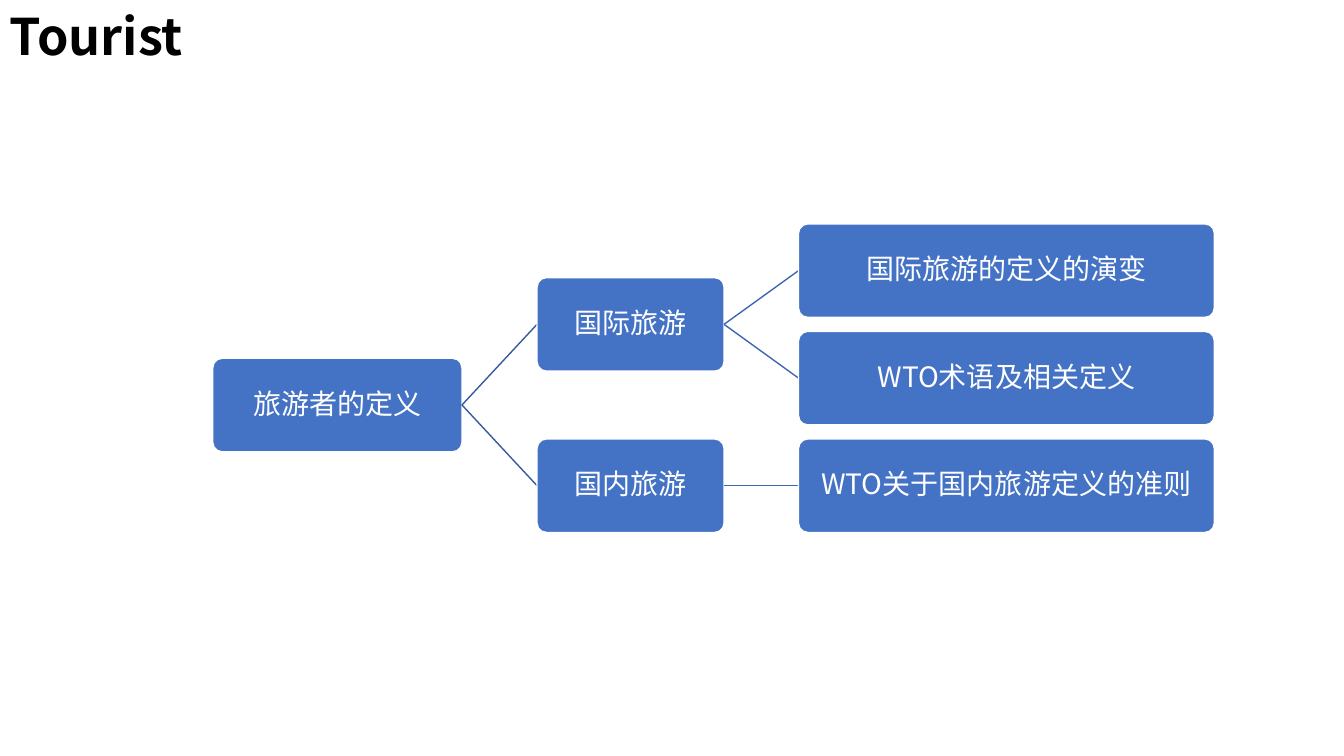
from pptx import Presentation
from pptx import util as u
from pptx.dml import color
from pptx.enum import shapes, text
from pptx.oxml import ns
from lxml import etree

COLORS = {"box": "4472C4", "white": "FFFFFF", "title": "000000",
          "root_link": "365B9D", "branch_link": "3E67B2"}
FONT = "Noto Sans CJK SC"


def rgb(name):
    return color.RGBColor.from_string(COLORS[name])


def write(holder, words, size, ink, bold=False, align=text.PP_ALIGN.LEFT,
          anchor=text.MSO_ANCHOR.TOP, spacing=1.0, after=0, inset=None):
    frame = holder.text_frame
    frame.vertical_anchor = anchor
    if inset is not None:
        frame.margin_left = frame.margin_right = u.Pt(inset)
        frame.margin_top = frame.margin_bottom = u.Pt(inset)
    paragraph = frame.paragraphs[0]
    paragraph.alignment = align
    paragraph.line_spacing = spacing
    paragraph.space_after = u.Pt(after)
    run = paragraph.add_run()
    run.text = words
    run.font.size = u.Pt(size)
    run.font.bold = bold
    run.font.color.rgb = rgb(ink)
    run.font.name = FONT
    east_asian = etree.SubElement(run.font._element, ns.qn("a:ea"))
    east_asian.set("typeface", FONT)


deck = Presentation()
deck.slide_width, deck.slide_height = u.Pt(960), u.Pt(540)
slide = deck.slides.add_slide(deck.slide_layouts[6])

title = slide.shapes.add_textbox(0, 0, u.Pt(172), u.Pt(51))
title.text_frame.word_wrap = True
write(title, "Tourist", size=36, ink="title", bold=True)

box_height = 66.8
top_middle = 193.3
row_step = 76.8
columns = [(152, 178), (383.6, 133.6), (570.4, 297)]

topics = [
    ("旅游者的定义", 0, 1.25, None),
    ("国际旅游", 1, 0.5, 0),
    ("国际旅游的定义的演变", 2, 0, 1),
    ("WTO术语及相关定义", 2, 1, 1),
    ("国内旅游", 1, 2, 0),
    ("WTO关于国内旅游定义的准则", 2, 2, 4),
]

for words, level, row, parent in topics:
    left, width = columns[level]
    middle = top_middle + row * row_step

    if parent is not None:
        parent_level, parent_row = topics[parent][1:3]
        parent_left, parent_width = columns[parent_level]
        link = slide.shapes.add_connector(
            shapes.MSO_CONNECTOR.STRAIGHT,
            u.Pt(parent_left + parent_width), u.Pt(top_middle + parent_row * row_step),
            u.Pt(left), u.Pt(middle))
        link.line.color.rgb = rgb("root_link" if level == 1 else "branch_link")
        link.line.width = u.Pt(1)
        etree.SubElement(link._element.spPr, ns.qn("a:effectLst"))

    topic = slide.shapes.add_shape(
        shapes.MSO_SHAPE.ROUNDED_RECTANGLE,
        u.Pt(left), u.Pt(middle - box_height / 2), u.Pt(width), u.Pt(box_height))
    topic.adjustments[0] = 0.1
    topic.shadow.inherit = False
    topic.fill.solid()
    topic.fill.fore_color.rgb = rgb("box")
    topic.line.color.rgb = rgb("white")
    topic.line.width = u.Pt(1)
    topic.text_frame.word_wrap = True
    write(topic, words, size=20, ink="white", align=text.PP_ALIGN.CENTER,
          anchor=text.MSO_ANCHOR.MIDDLE, spacing=0.9, after=7, inset=1)

deck.save("out.pptx")
